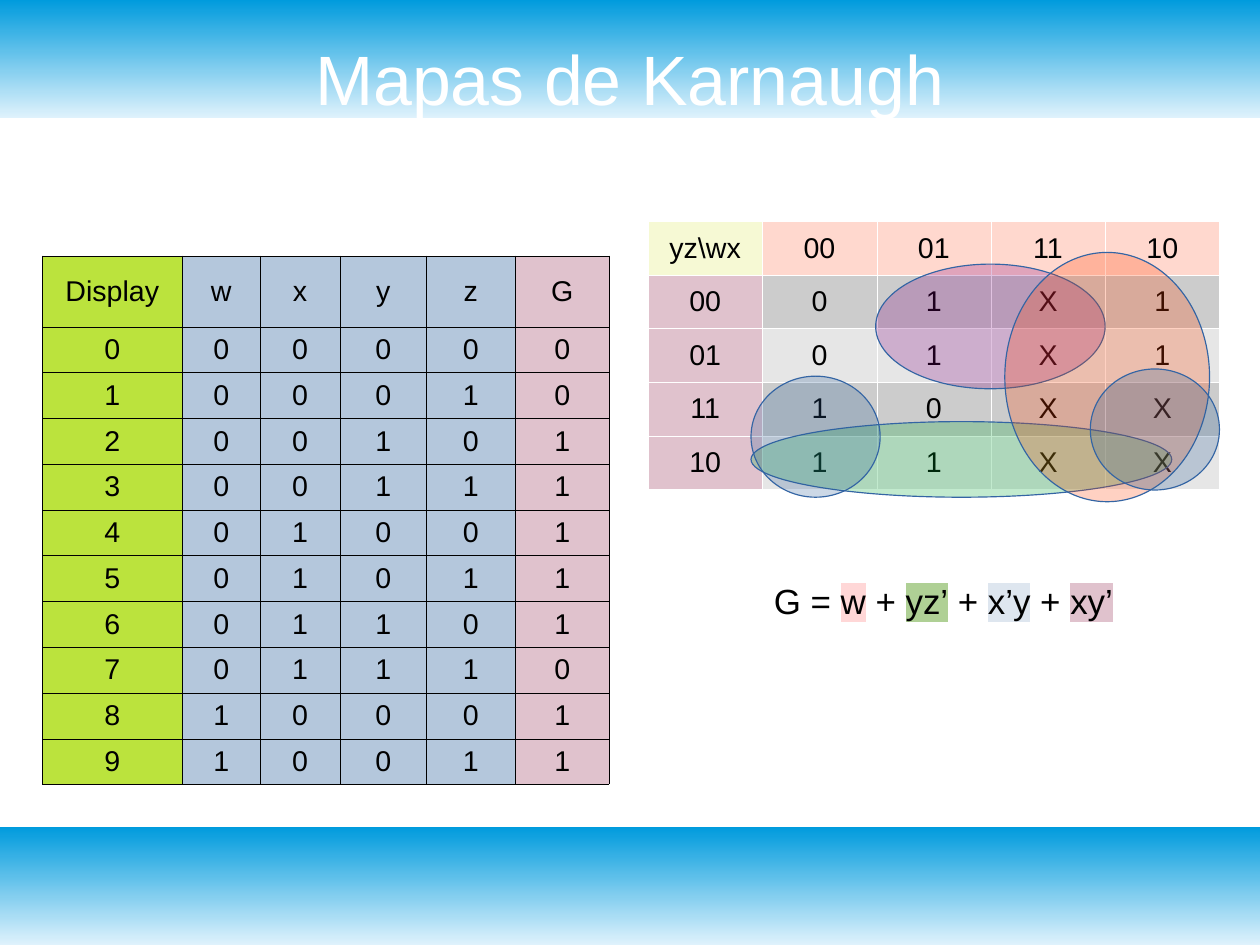
from dataclasses import dataclass

from lxml.etree import SubElement
from pptx import Presentation
from pptx.dml.color import RGBColor
from pptx.enum.shapes import MSO_SHAPE
from pptx.enum.text import MSO_ANCHOR, PP_ALIGN
from pptx.oxml.ns import qn
from pptx.util import Cm, Pt


@dataclass(frozen=True)
class Theme:
    font: str = "Arial"
    title_size: int = 44
    formula_size: int = 22
    cell_size: int = 18
    hairline: float = 0.06
    opacity: int = 24
    black: str = "000000"
    white: str = "FFFFFF"
    band_top: str = "009BDD"
    band_bottom: str = "DFF2FC"
    outline: str = "3465A4"
    digit: str = "BBE33D"
    variable: str = "B4C7DC"
    output: str = "E0C2CD"
    corner: str = "F6F9D4"
    column_code: str = "FFD8CE"
    stripes: tuple = ("CCCCCC", "E6E6E6")
    green: str = "00A933"
    purple: str = "800080"
    orange: str = "FF4000"
    blue: str = "2A6099"
    mark_w: str = "FFD7D7"
    mark_yz: str = "AFD095"
    mark_xy: str = "DEE6EF"


def rgb(code):
    return RGBColor.from_string(code)


def add_color(parent, code):
    return SubElement(parent, qn("a:srgbClr"), val=code)


def write(paragraph, text, *, font, size, color, highlight=None):
    """Append one centred run, optionally with a highlight colour behind it."""
    paragraph.alignment = PP_ALIGN.CENTER
    run = paragraph.add_run()
    run.text = text
    run.font.size = Pt(size)
    run.font.color.rgb = rgb(color)
    run.font.name = font
    if highlight:
        properties = run.font._element
        mark = SubElement(properties, qn("a:highlight"))
        add_color(mark, highlight)
        properties.find(qn("a:latin")).addprevious(mark)


def set_borders(cell, color, width):
    properties = cell._tc.get_or_add_tcPr()
    for position, side in enumerate(("lnL", "lnR", "lnT", "lnB")):
        border = SubElement(properties, qn(f"a:{side}"), w=str(Pt(width)))
        add_color(SubElement(border, qn("a:solidFill")), color)
        properties.insert(position, border)


class KarnaughSlide:
    def __init__(self, presentation, theme):
        self.theme = theme
        self.slide = presentation.slides.add_slide(presentation.slide_layouts[6])

    def shape(self, kind, box):
        shape = self.slide.shapes.add_shape(kind, *map(Cm, box))
        shape.shadow.inherit = False
        return shape

    def band(self, top):
        band = self.shape(MSO_SHAPE.RECTANGLE, (0, top, 28, 2.62))
        band.line.fill.background()
        band.fill.gradient()
        band.fill.gradient_angle = 90
        shades = (self.theme.band_bottom, self.theme.band_top)
        for stop, shade in zip(band.fill.gradient_stops, shades):
            stop.color.rgb = rgb(shade)

    def text(self, box, pieces, size, color, margins=(0.25, 0.13)):
        """Place a one-line text made of (words, highlight) pieces."""
        frame = self.slide.shapes.add_textbox(*map(Cm, box)).text_frame
        frame.word_wrap = True
        frame.vertical_anchor = MSO_ANCHOR.MIDDLE
        frame.margin_left = frame.margin_right = Cm(margins[0])
        frame.margin_top = frame.margin_bottom = Cm(margins[1])
        for words, highlight in pieces:
            write(frame.paragraphs[0], words, font=self.theme.font, size=size,
                  color=color, highlight=highlight)

    def table(self, left, top, widths, heights, rows, fill_of, border):
        """Draw rows of text; fill_of(row, column) gives each cell's colour."""
        table = self.slide.shapes.add_table(
            len(heights), len(widths), Cm(left), Cm(top),
            Cm(sum(widths)), Cm(sum(heights))).table
        table.first_row = table.horz_banding = False
        for column, width in zip(table.columns, widths):
            column.width = Cm(width)
        for r, (height, values) in enumerate(zip(heights, rows)):
            table.rows[r].height = Cm(height)
            for c, value in enumerate(values):
                cell = table.cell(r, c)
                cell.vertical_anchor = MSO_ANCHOR.MIDDLE
                cell.fill.solid()
                cell.fill.fore_color.rgb = rgb(fill_of(r, c))
                set_borders(cell, border, self.theme.hairline)
                write(cell.text_frame.paragraphs[0], value, font=self.theme.font,
                      size=self.theme.cell_size, color=self.theme.black)

    def group(self, box, color):
        """Circle a group of map cells with a translucent ellipse."""
        ellipse = self.shape(MSO_SHAPE.OVAL, box)
        ellipse.line.color.rgb = rgb(self.theme.outline)
        ellipse.line.width = Pt(0)
        ellipse.fill.solid()
        ellipse.fill.fore_color.rgb = rgb(color)
        tint = ellipse.fill._xPr.find(qn("a:solidFill"))[0]
        SubElement(tint, qn("a:alpha"), val=str(self.theme.opacity * 1000))


def main():
    theme = Theme()
    presentation = Presentation()
    presentation.slide_width, presentation.slide_height = Cm(28), Cm(21)
    page = KarnaughSlide(presentation, theme)

    for top in (0, 18.38):
        page.band(top)
    page.text((1.4, 0.84, 25.2, 1.78), [("Mapas de Karnaugh", None)],
              theme.title_size, theme.white, margins=(0, 0))

    segment_g = "0011111011"
    gray_codes = ("00", "01", "11", "10")

    def map_value(wx, yz):
        digit = int(wx + yz, 2)
        return segment_g[digit] if digit < len(segment_g) else "X"

    def map_fill(row, column):
        if row == 0:
            return theme.column_code if column else theme.corner
        return theme.stripes[(row - 1) % 2] if column else theme.output

    karnaugh_rows = [("yz\\wx", *gray_codes)]
    karnaugh_rows += [(yz, *(map_value(wx, yz) for wx in gray_codes))
                      for yz in gray_codes]
    page.table(14.4, 4.92, [2.54] * 5, [1.19] * 5, karnaugh_rows, map_fill,
               theme.white)

    truth_rows = [("Display", *"wxyz", "G")]
    truth_rows += [(str(digit), *f"{digit:04b}", g)
                   for digit, g in enumerate(segment_g)]
    truth_fills = [theme.digit, *[theme.variable] * 4, theme.output]
    page.table(0.94, 5.68, [3.11, 1.73, 1.78, 1.91, 1.98, 2.09],
               [1.58] + [0.97] * 10, truth_rows,
               lambda row, column: truth_fills[column], theme.black)

    page.text((15.01, 11.84, 11.91, 3),
              [("G = ", None), ("w", theme.mark_w), (" + ", None),
               ("yz’", theme.mark_yz), (" + ", None), ("x’y", theme.mark_xy),
               (" + ", None), ("xy’", theme.output)],
              theme.formula_size, theme.black)

    for box, color in (
        ((16.69, 9.37, 9.35, 1.68), theme.green),
        ((19.46, 5.87, 5.1, 2.77), theme.purple),
        ((22.33, 5.61, 4.55, 5.54), theme.orange),
        ((16.69, 8.36, 2.87, 2.69), theme.blue),
        ((24.23, 8.2, 2.87, 2.69), theme.blue),
    ):
        page.group(box, color)

    presentation.save("out.pptx")


if __name__ == "__main__":
    main()
